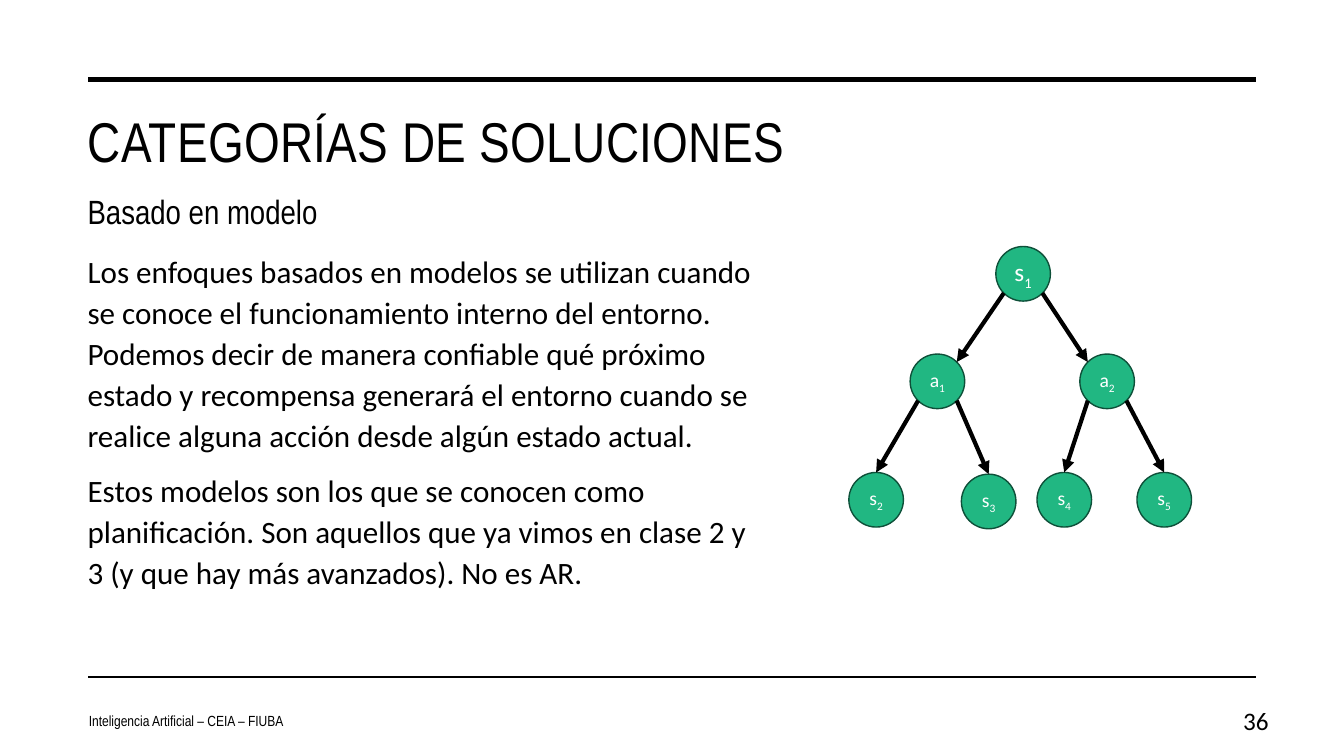
from math import sqrt

from lxml import etree
from pptx import Presentation
from pptx.dml.color import RGBColor
from pptx.enum.shapes import MSO_CONNECTOR, MSO_SHAPE
from pptx.enum.text import MSO_ANCHOR, PP_ALIGN
from pptx.oxml.ns import qn
from pptx.util import Inches, Pt

STRAIGHT = MSO_CONNECTOR.STRAIGHT
OVAL = MSO_SHAPE.OVAL
TOP, MIDDLE = MSO_ANCHOR.TOP, MSO_ANCHOR.MIDDLE
LEFT, CENTER, RIGHT = PP_ALIGN.LEFT, PP_ALIGN.CENTER, PP_ALIGN.RIGHT

BLACK = RGBColor(0x00, 0x00, 0x00)
WHITE = RGBColor(0xFF, 0xFF, 0xFF)
GREEN = RGBColor(0x21, 0xB7, 0x82)
DARK_GREEN = RGBColor(0x0E, 0x50, 0x39)

# Square grid cells: 160 columns by 90 rows
COLUMNS, ROWS = 160, 90
NODE_SIZE = 6.5
DIAGONAL = NODE_SIZE / 2 / sqrt(2)


class TreeSlide:
    """Style and current slide; all positions are in grid cells."""

    heading_font = "Arial Narrow"
    body_font = "Calibri"

    def __init__(self, presentation):
        presentation.slide_width = Inches(13.33)
        presentation.slide_height = Inches(7.5)
        self.cell_width = presentation.slide_width / COLUMNS
        self.cell_height = presentation.slide_height / ROWS
        self.slide = presentation.slides.add_slide(presentation.slide_layouts[6])

    def x(self, columns):
        return round(columns * self.cell_width)

    def y(self, rows):
        return round(rows * self.cell_height)

    def text(self, box, paragraphs, font, size, anchor=TOP, align=LEFT,
             line_spacing=None, gap=0, tracking=None):
        left, top, width, height = box
        shape = self.slide.shapes.add_textbox(
            self.x(left), self.y(top), self.x(width), self.y(height))
        frame = shape.text_frame
        frame.word_wrap = True
        frame.vertical_anchor = anchor
        frame.text = "\n".join(paragraphs)
        for index, paragraph in enumerate(frame.paragraphs):
            paragraph.alignment = align
            paragraph.line_spacing = line_spacing
            if index:
                paragraph.space_before = Pt(gap)
            for run in paragraph.runs:
                self.format(run, font, size, BLACK)
                if tracking:
                    run.font._element.set("spc", str(tracking))

    def format(self, run, font, size, color):
        run.font.name = font
        run.font.size = Pt(size)
        run.font.color.rgb = color

    def line(self, start, end, weight, arrow=False):
        connector = self.slide.shapes.add_connector(
            STRAIGHT, self.x(start[0]), self.y(start[1]),
            self.x(end[0]), self.y(end[1]))
        connector.line.color.rgb = BLACK
        connector.line.width = Pt(weight)
        if arrow:
            outline = connector.line._get_or_add_ln()
            etree.SubElement(outline, qn("a:tailEnd"), type="triangle")
        etree.SubElement(connector._element.spPr, qn("a:effectLst"))

    def node(self, center, letter, index, size):
        shape = self.slide.shapes.add_shape(
            OVAL, self.x(center[0] - NODE_SIZE / 2), self.y(center[1] - NODE_SIZE / 2),
            self.x(NODE_SIZE), self.y(NODE_SIZE))
        shape.shadow.inherit = False
        shape.fill.solid()
        shape.fill.fore_color.rgb = GREEN
        shape.line.color.rgb = DARK_GREEN
        shape.line.width = Pt(1)
        frame = shape.text_frame
        frame.word_wrap = False
        frame.vertical_anchor = MIDDLE
        frame.margin_left = frame.margin_right = 0
        paragraph = frame.paragraphs[0]
        paragraph.alignment = CENTER
        for part in (letter, index):
            run = paragraph.add_run()
            run.text = part
            self.format(run, self.body_font, size, WHITE)
        run.font._element.set("baseline", "-25000")

    def edge(self, parent, child, to_leaf):
        side = 1 if child[0] > parent[0] else -1
        start = (parent[0] + side * DIAGONAL, parent[1] + DIAGONAL)
        if to_leaf:
            end = (child[0], child[1] - NODE_SIZE / 2)
        else:
            end = (child[0] - side * DIAGONAL, child[1] - DIAGONAL)
        self.line(start, end, 3, arrow=True)


def main():
    presentation = Presentation()
    page = TreeSlide(presentation)
    heading, body = page.heading_font, page.body_font

    # Rules above and below the content
    for row, weight in ((9.5, 3.5), (80.6, 1)):
        page.line((10.5, row), (149.5, row), weight)

    # Headings
    page.text((9.25, 12.1, 140.3, 18), ["CATEGORÍAS DE SOLUCIONES"],
              heading, 40, tracking=30)
    page.text((9.25, 22.1, 144, 6), ["Basado en modelo"], heading, 24)

    # Explanation
    page.text((9.25, 29, 83.2, 50.8), [
        "Los enfoques basados en modelos se utilizan cuando se conoce el "
        "funcionamiento interno del entorno. Podemos decir de manera confiable "
        "qué próximo estado y recompensa generará el entorno cuando se realice "
        "alguna acción desde algún estado actual.",
        "Estos modelos son los que se conocen como planificación. Son aquellos "
        "que ya vimos en clase 2 y 3 (y que hay más avanzados). No es AR.",
    ], body, 22.2, line_spacing=1.1, gap=10)

    # Footer
    page.text((9.4, 83.4, 59.5, 4.8), ["Inteligencia Artificial – CEIA – FIUBA"],
              heading, 10.5, anchor=MIDDLE)
    page.text((143.3, 83.4, 8.9, 4.8), ["36"], body, 18, anchor=MIDDLE, align=RIGHT)

    # Tree of states and actions, by node centre
    centers = {
        "s1": (121.8, 32.6),
        "a1": (111.6, 45.4), "a2": (131.8, 45.4),
        "s2": (104.3, 59.5), "s3": (117.7, 59.7),
        "s4": (126.7, 59.5), "s5": (138.6, 59.5),
    }
    children = {"s1": ("a1", "a2"), "a1": ("s2", "s3"), "a2": ("s4", "s5")}
    for name, center in centers.items():
        page.node(center, name[0], name[1], 18 if name == "s1" else 14)
    for parent, branch in children.items():
        for child in branch:
            page.edge(centers[parent], centers[child], child not in children)

    presentation.save("out.pptx")


if __name__ == "__main__":
    main()
